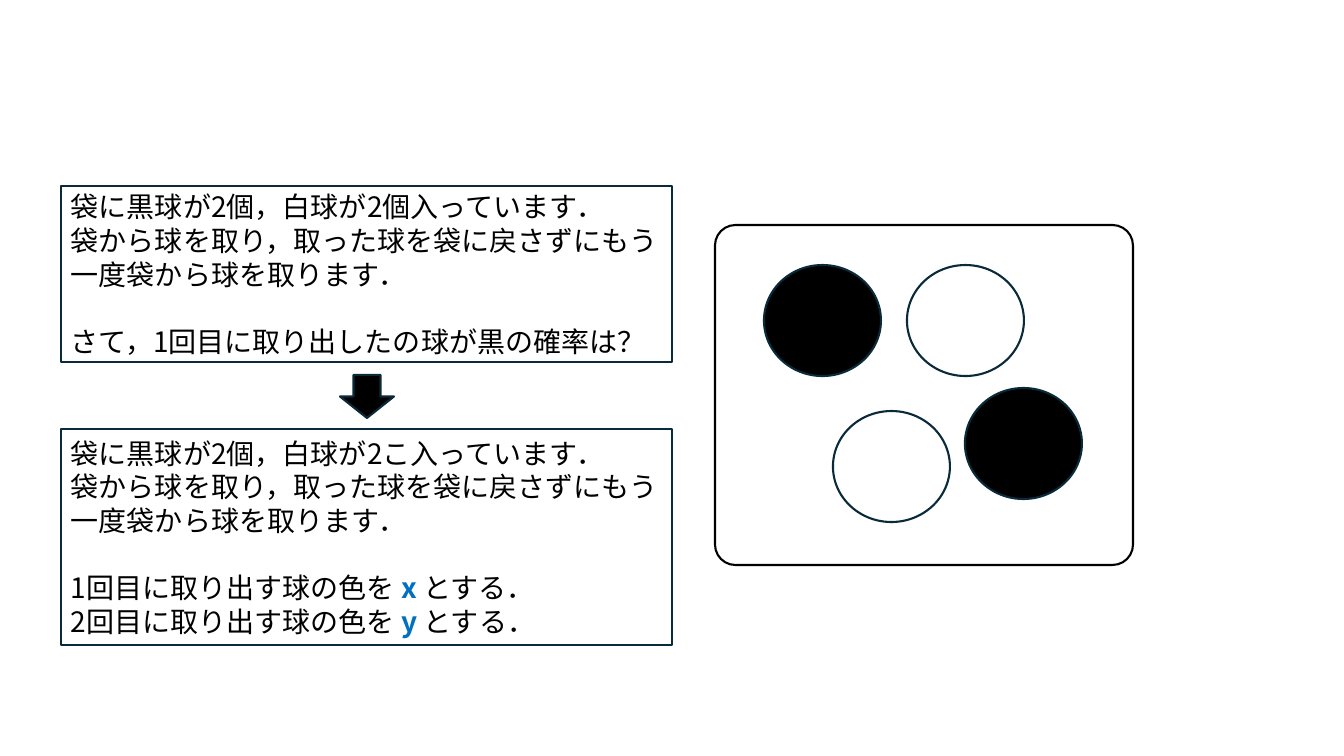
from lxml.etree import SubElement
from pptx import Presentation
from pptx.dml.color import RGBColor
from pptx.enum.shapes import MSO_SHAPE as Shape
from pptx.enum.text import MSO_ANCHOR as Anchor, PP_ALIGN as Align
from pptx.oxml.ns import qn
from pptx.util import Pt

EMU_PER_PX = 914400 / 100.8
FONT = "Noto Sans CJK JP"
BLACK, WHITE, NAVY, BLUE = "000000", "FFFFFF", "092A39", "0070C0"
BALL_SIZE = (117, 111)
BALLS = [(49, 40, BLACK), (250, 163, BLACK), (118, 186, WHITE), (192, 40, WHITE)]
DRAW_RULE = "袋から球を取り，取った球を袋に戻さずにもう一度袋から球を取ります．"
QUESTION = [
    ["袋に黒球が2個，白球が2個入っています．"],
    [DRAW_RULE],
    ["さて，1回目に取り出したの球が黒の確率は？"],
]
VARIABLES = [
    ["袋に黒球が2個，白球が2こ入っています．"],
    [DRAW_RULE],
    ["1回目に取り出す球の色を ", "x ", "とする．"],
    ["2回目に取り出す球の色を ", "y ", "とする．"],
]


def px(length):
    return round(length * EMU_PER_PX)


def color(value):
    return RGBColor.from_string(value)


def add_outlined(slide, kind, box, fill, line=NAVY):
    shape = slide.shapes.add_shape(kind, *map(px, box))
    shape.shadow.inherit = False
    shape.fill.solid()
    shape.fill.fore_color.rgb = color(fill)
    shape.line.color.rgb = color(line)
    shape.line.width = Pt(1.5)
    return shape


def format_paragraph(paragraph):
    paragraph.alignment = Align.LEFT
    font = paragraph.font
    font.size = Pt(20)
    font.color.rgb = color(BLACK)
    font.name = FONT
    properties = paragraph._p.pPr.find(qn("a:defRPr"))
    SubElement(properties, qn("a:ea")).set("typeface", FONT)


def add_problem(slide, box, lines):
    frame = add_outlined(slide, Shape.FLOWCHART_PROCESS, box, WHITE).text_frame
    frame.word_wrap = True
    frame.vertical_anchor = Anchor.MIDDLE
    for index, texts in enumerate(lines):
        paragraph = frame.add_paragraph() if index else frame.paragraphs[0]
        format_paragraph(paragraph)
        if texts == [DRAW_RULE]:
            paragraph.space_after = Pt(24)
        for position, text in enumerate(texts):
            run = paragraph.add_run()
            run.text = text
            if position == 1:
                run.font.bold = True
                run.font.color.rgb = color(BLUE)


def add_bag(slide, box):
    left, top = box[:2]
    bag = add_outlined(slide, Shape.ROUNDED_RECTANGLE, box, WHITE, BLACK)
    bag.adjustments[0] = 0.06
    for x, y, fill in BALLS:
        add_outlined(slide, Shape.OVAL, (left + x, top + y, *BALL_SIZE), fill)


def main():
    presentation = Presentation()
    presentation.slide_width, presentation.slide_height = px(1344), px(756)
    slide = presentation.slides.add_slide(presentation.slide_layouts[6])
    add_bag(slide, (715, 225, 418, 340))
    add_problem(slide, (61, 186, 611, 176), QUESTION)
    add_problem(slide, (61, 429, 611, 216), VARIABLES)
    add_outlined(slide, Shape.DOWN_ARROW, (340, 375, 54, 43), BLACK)
    presentation.save("out.pptx")


if __name__ == "__main__":
    main()
